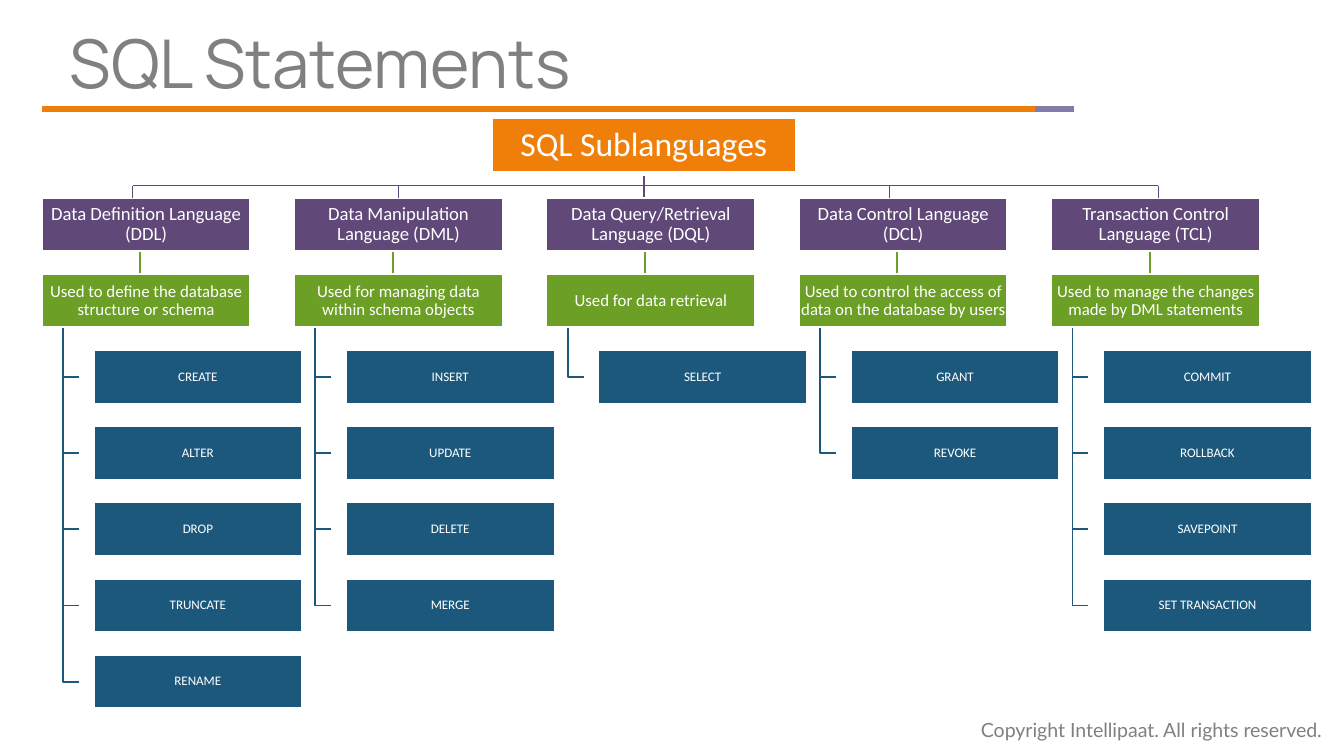
from lxml import etree
from pptx import Presentation
from pptx.dml.color import RGBColor
from pptx.enum import shapes, text
from pptx.oxml import ns
from pptx.util import Cm, Pt

TITLE = "SQL\tStatements"
ROOT = "SQL Sublanguages"
FOOTER = "Copyright Intellipaat. All rights reserved."
GROUPS = [
    ("Data Definition Language (DDL)",
     "Used to define the database structure or schema",
     ["CREATE", "ALTER", "DROP", "TRUNCATE", "RENAME"]),
    ("Data Manipulation Language (DML)",
     "Used for managing data within schema objects",
     ["INSERT", "UPDATE", "DELETE", "MERGE"]),
    ("Data Query/Retrieval Language (DQL)",
     "Used for data retrieval",
     ["SELECT"]),
    ("Data Control Language (DCL)",
     "Used to control the access of data on the database by users",
     ["GRANT", "REVOKE"]),
    ("Transaction Control Language (TCL)",
     "Used to manage the changes made by DML statements",
     ["COMMIT", "ROLLBACK", "SAVEPOINT", "SET TRANSACTION"]),
]

ORANGE = RGBColor(0xF0, 0x7F, 0x09)
LILAC = RGBColor(0x82, 0x7C, 0xA8)
PURPLE = RGBColor(0x60, 0x48, 0x78)
GREEN = RGBColor(0x6B, 0x9F, 0x25)
BLUE = RGBColor(0x1B, 0x58, 0x7C)
GREY = RGBColor(0x80, 0x80, 0x80)
WHITE = RGBColor(0xFF, 0xFF, 0xFF)

LEFT, TOP = 0.79, 3.74
WIDTH, HEIGHT = 3.94, 1.01
COL, ROW = 4.77, 1.44
INDENT = 0.98
STEM = 1.86
TRUNK, HOOK = 0.4, 0.3
BUS = 3.51
DROPS = [2.51, 7.54, 16.81, 21.89]

deck = Presentation()
deck.slide_width, deck.slide_height = Cm(25.4), Cm(14.29)
slide = deck.slides.add_slide(deck.slide_layouts[6])


def style(para, size, face, color):
    font = para.font
    font.size, font.name = Pt(size), face
    font.color.rgb = color


def line(x1, y1, x2, y2, color, width):
    link = slide.shapes.add_connector(
        shapes.MSO_CONNECTOR.STRAIGHT, Cm(x1), Cm(y1), Cm(x2), Cm(y2))
    link.line.color.rgb = color
    link.line.width = Pt(width)
    etree.SubElement(link._element.spPr, ns.qn("a:effectLst"))


def elbow(x, y1, y2):
    pen = slide.shapes.build_freeform(Cm(x), Cm(y1))
    pen.add_line_segments(
        [(Cm(x), Cm(y2)), (Cm(x + HOOK), Cm(y2))], close=False)
    hook = pen.convert_to_shape()
    hook.shadow.inherit = False
    hook.fill.background()
    hook.line.color.rgb = BLUE
    hook.line.width = Pt(1)


def box(words, x, y, width, color, size):
    rect = slide.shapes.add_shape(
        shapes.MSO_SHAPE.RECTANGLE, Cm(x), Cm(y), Cm(width), Cm(HEIGHT))
    rect.shadow.inherit = False
    rect.fill.solid()
    rect.fill.fore_color.rgb = color
    rect.line.color.rgb = WHITE
    rect.line.width = Pt(1)
    frame = rect.text_frame
    frame.text = words
    frame.word_wrap = True
    frame.vertical_anchor = text.MSO_ANCHOR.MIDDLE
    frame.margin_left = frame.margin_right = 0
    frame.margin_top = frame.margin_bottom = 0
    para = frame.paragraphs[0]
    para.alignment = text.PP_ALIGN.CENTER
    para.line_spacing = 0.9
    style(para, size, "Calibri", WHITE)


def label(words, x, y, width, height, size, face):
    area = slide.shapes.add_textbox(Cm(x), Cm(y), Cm(width), Cm(height))
    area.text_frame.text = words
    return area.text_frame, area.text_frame.paragraphs[0]


frame, para = label(FOOTER, 18.29, 13.44, 7.19, 0.71, 10.5, "Lato")
frame.word_wrap = False
style(para, 10.5, "Lato", GREY)

frame, para = label(TITLE, 1.32, 0.46, 21.44, 1.6, 36, "Manrope")
frame.word_wrap = True
frame.margin_left = 0
para.line_spacing = 0.9
tabs = etree.SubElement(para._p.get_or_add_pPr(), ns.qn("a:tabLst"))
etree.SubElement(tabs, ns.qn("a:tab"), pos=str(Cm(2.54)), algn="l")
style(para, 36, "Manrope", GREY)

line(LEFT, 2.06, 19.56, 2.06, ORANGE, 3)
line(19.56, 2.06, 20.3, 2.06, LILAC, 3)

line(12.17, 3.33, 12.17, TOP, PURPLE, 1)
box(ROOT, 9.3, 2.24, 5.74, ORANGE, 18)

for col, (name, use, words) in enumerate(GROUPS):
    x = LEFT + col * COL
    base = TOP + ROW + HEIGHT
    line(x + STEM, TOP + HEIGHT, x + STEM, TOP + ROW, GREEN, 1)
    box(name, x, TOP, WIDTH, PURPLE, 10)
    for row, word in enumerate(words, 2):
        y = TOP + row * ROW
        elbow(x + TRUNK, base, y + HEIGHT / 2)
        box(word, x + INDENT, y, WIDTH, BLUE, 7)
    box(use, x, TOP + ROW, WIDTH, GREEN, 9)

line(DROPS[0], BUS, DROPS[-1], BUS, PURPLE, 0.5)
for x in DROPS:
    line(x, BUS, x, TOP, PURPLE, 0.5)

deck.save("out.pptx")
